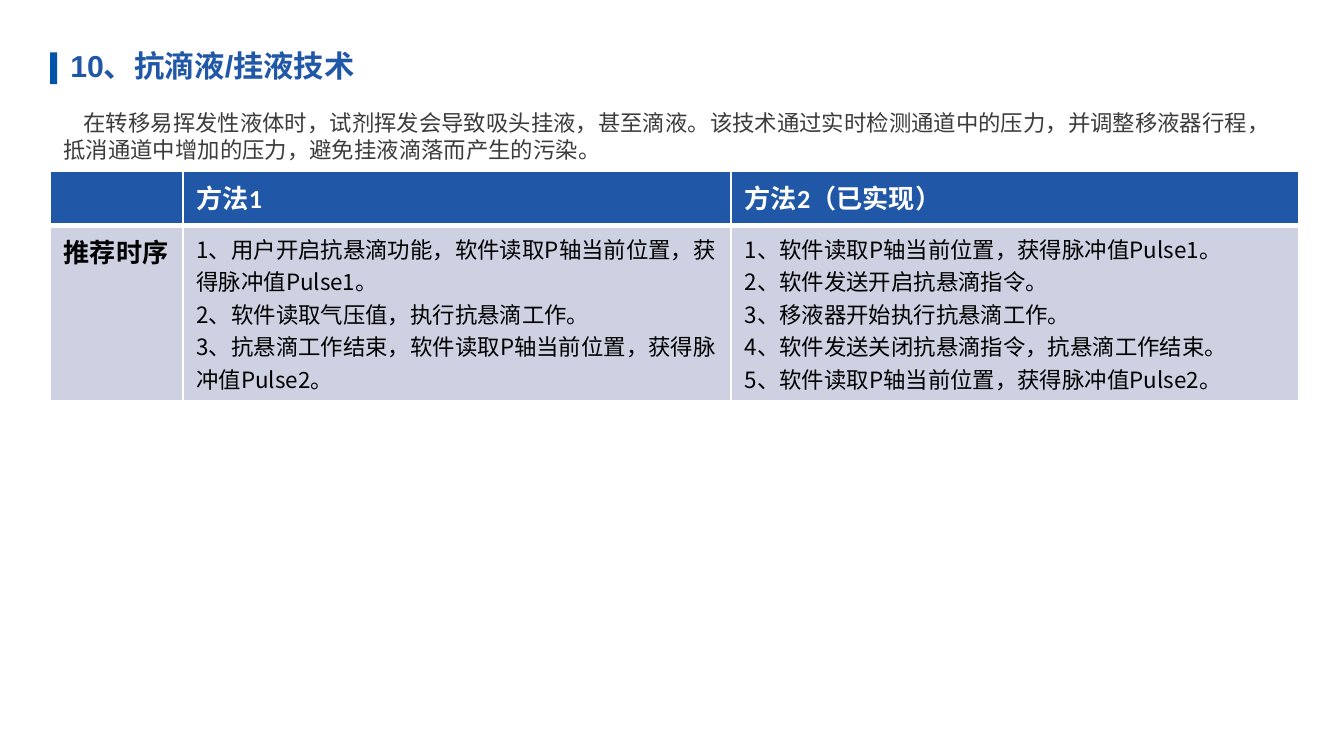
from lxml import etree
from pptx import Presentation, util as u
from pptx.dml.color import RGBColor
from pptx.enum import shapes, text
from pptx.oxml import ns

CJK = "Noto Sans CJK SC"
BLUE, PALE, WHITE, BLACK = "2057A6", "CDD1E1", "FFFFFF", "000000"
HEADING = "10、抗滴液/挂液技术"
INTRO = (
    "在转移易挥发性液体时，试剂挥发会导致吸头挂液，甚至滴液。该技术通过实时检测通道中的压力，"
    "并调整移液器行程，抵消通道中增加的压力，避免挂液滴落而产生的污染。"
)
HEADERS = [[], ["方法1"], ["方法2（已实现）"]]
STEPS = [
    ["推荐时序"],
    [
        "1、用户开启抗悬滴功能，软件读取P轴当前位置，获得脉冲值Pulse1。",
        "2、软件读取气压值，执行抗悬滴工作。",
        "3、抗悬滴工作结束，软件读取P轴当前位置，获得脉冲值Pulse2。",
    ],
    [
        "1、软件读取P轴当前位置，获得脉冲值Pulse1。",
        "2、软件发送开启抗悬滴指令。",
        "3、移液器开始执行抗悬滴工作。",
        "4、软件发送关闭抗悬滴指令，抗悬滴工作结束。",
        "5、软件读取P轴当前位置，获得脉冲值Pulse2。",
    ],
]


def colour(value):
    """Turn a hex string into a colour."""
    return RGBColor.from_string(value)


def write(frame, lines, shade, **formats):
    """Write one paragraph per line with the given font values."""
    frame.word_wrap = True
    for index, line in enumerate(lines):
        para = frame.paragraphs[0] if index == 0 else frame.add_paragraph()
        span = para.add_run()
        span.text = line
        for name, value in formats.items():
            setattr(span.font, name, value)
        span.font.color.rgb = colour(shade)
        east = etree.SubElement(span.font._element, ns.qn("a:ea"))
        east.set("typeface", CJK)


def border(cell, bottom):
    """Draw white cell borders, with a chosen bottom width in points."""
    props = cell._tc.get_or_add_tcPr()
    widths = {"lnL": 1, "lnR": 1, "lnT": 1, "lnB": bottom}
    for index, (side, width) in enumerate(widths.items()):
        line = etree.Element(ns.qn(f"a:{side}"), w=str(u.Pt(width)))
        fill = etree.SubElement(line, ns.qn("a:solidFill"))
        etree.SubElement(fill, ns.qn("a:srgbClr"), val=WHITE)
        props.insert(index, line)


def add_heading(page, left, top, width, height):
    """Place the heading with its accent bar."""
    bar_width = u.Cm(0.13)
    bar = page.shapes.add_shape(
        shapes.MSO_SHAPE.RECTANGLE, left, top + u.Cm(0.23), bar_width, u.Cm(0.6)
    )
    bar.shadow.inherit = False
    bar.fill.solid()
    bar.fill.fore_color.rgb = colour("0055A8")
    bar.line.fill.background()
    box = page.shapes.add_textbox(left + bar_width, top, width - bar_width, height)
    box.text_frame.vertical_anchor = text.MSO_ANCHOR.MIDDLE
    write(box.text_frame, [HEADING], BLUE, name="Arial", size=u.Pt(16.2), bold=True)


def add_intro(page, left, top, width, height):
    """Place the introduction with an indented first line."""
    box = page.shapes.add_textbox(left, top, width, height)
    write(box.text_frame, [INTRO], "3C3C3C", name=CJK, size=u.Pt(12))
    para = box.text_frame.paragraphs[0]
    para.line_spacing = u.Pt(14.5)
    para._p.get_or_add_pPr().set("indent", str(u.Cm(0.38)))


def add_methods(page, left, top, width, height):
    """Place the table that compares both methods."""
    table = page.shapes.add_table(2, 3, left, top, width, height).table
    first, second = u.Cm(2.51), u.Cm(10.36)
    for column, size in zip(table.columns, (first, second, width - first - second)):
        column.width = size
    header = u.Cm(1.03)
    for row, size in zip(table.rows, (header, height - header)):
        row.height = size
    title = {"name": "Calibri", "size": u.Pt(14), "bold": True}
    label = {**title, "name": CJK}
    body = {"name": CJK, "size": u.Pt(12), "bold": False}
    rows = [
        (HEADERS, BLUE, WHITE, 3, [title] * 3),
        (STEPS, PALE, BLACK, 1, [label, body, body]),
    ]
    for row, (contents, fill, shade, bottom, styles) in enumerate(rows):
        for column, (lines, style) in enumerate(zip(contents, styles)):
            cell = table.cell(row, column)
            cell.fill.solid()
            cell.fill.fore_color.rgb = colour(fill)
            border(cell, bottom)
            write(cell.text_frame, lines, shade, **style)


def main():
    """Build and save the deck."""
    deck = Presentation()
    deck.slide_width, deck.slide_height = u.Cm(25.4), u.Cm(14.28)
    page = deck.slides.add_slide(deck.slide_layouts[6])
    left = u.Cm(0.95)
    add_heading(page, left, u.Cm(0.76), u.Cm(11.78), u.Cm(0.97))
    add_intro(page, left, u.Cm(1.93), u.Cm(23.57), u.Cm(1.27))
    add_methods(page, left, u.Cm(3.23), u.Cm(23.6), u.Cm(4.35))
    deck.save("out.pptx")


if __name__ == "__main__":
    main()
